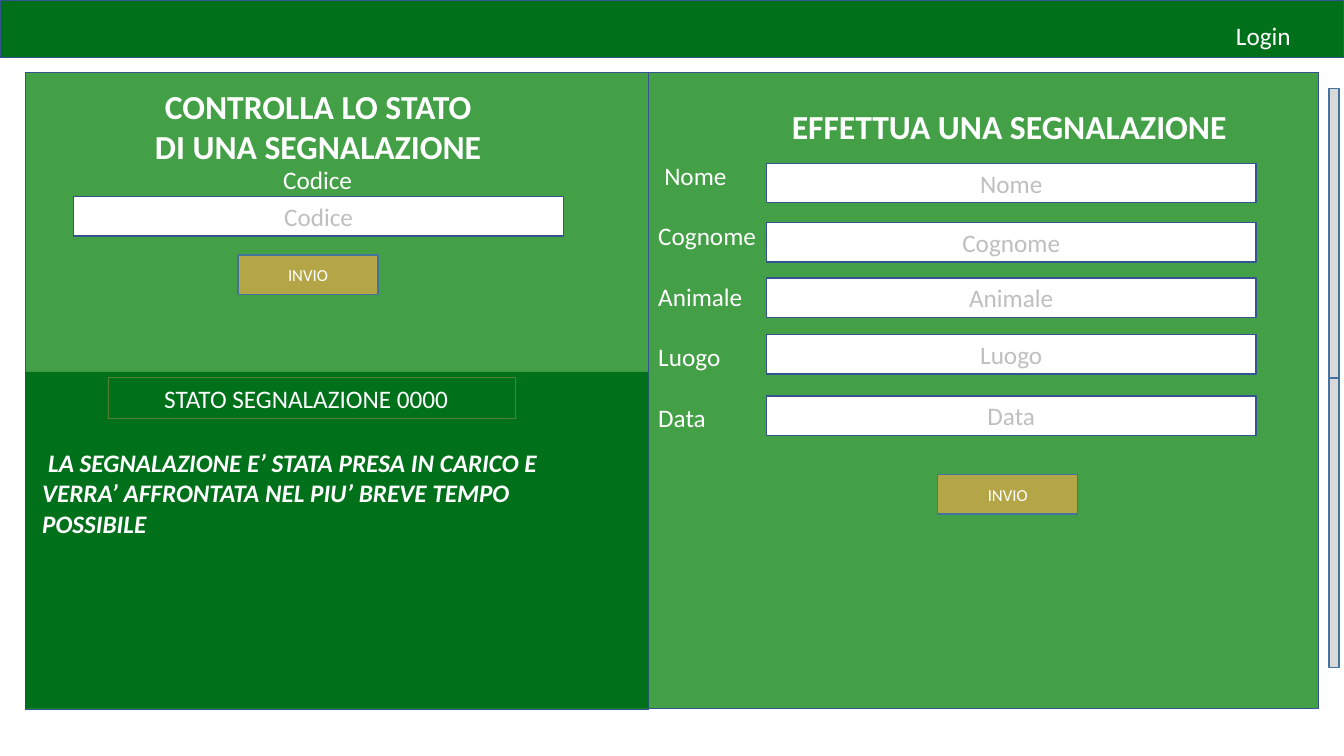
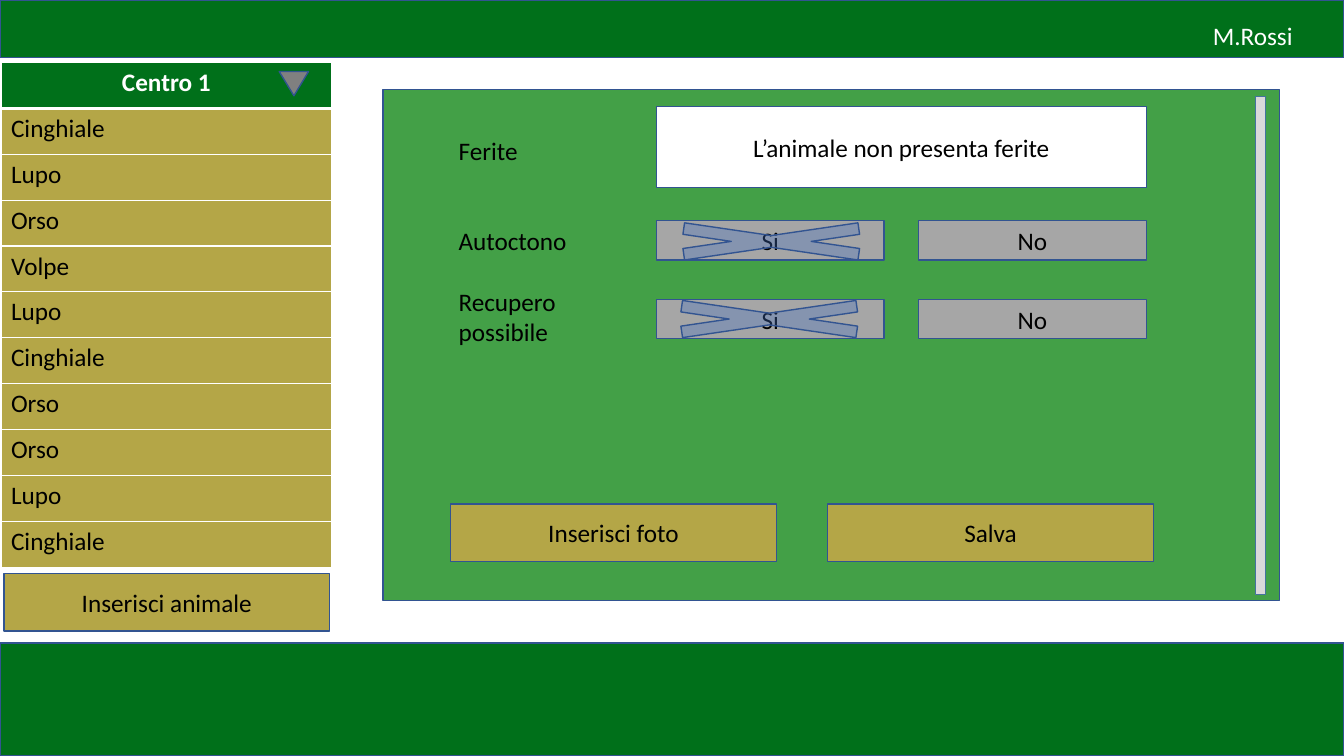
"""Build two screens of an animal report application."""
from dataclasses import dataclass
from typing import Optional

from lxml import etree
from pptx import Presentation
from pptx.dml.color import RGBColor
from pptx.enum.shapes import MSO_SHAPE
from pptx.enum.text import MSO_ANCHOR, MSO_AUTO_SIZE, PP_ALIGN
from pptx.oxml.ns import qn
from pptx.util import Inches, Pt

RECTANGLE = MSO_SHAPE.RECTANGLE
TRIANGLE = MSO_SHAPE.ISOSCELES_TRIANGLE
CROSS = MSO_SHAPE.MATH_MULTIPLY
TOP, MIDDLE = MSO_ANCHOR.TOP, MSO_ANCHOR.MIDDLE
LEFT, CENTER = PP_ALIGN.LEFT, PP_ALIGN.CENTER
NO_RESIZE = MSO_AUTO_SIZE.NONE
TITLE_ONLY, BLANK = 5, 6


@dataclass(frozen=True)
class Theme:
    """Colours, font and type sizes shared by the screens."""
    font: str = "Calibri"
    dark: str = "00701A"
    green: str = "43A047"
    gold: str = "B4A647"
    white: str = "FFFFFF"
    black: str = "000000"
    hint: str = "BFBFBF"
    track: str = "D9D9D9"
    option: str = "A6A6A6"
    arrow: str = "808080"
    cross: str = "4472C4"
    outline: str = "325491"
    thin_outline: str = "43739E"
    status_outline: str = "548235"
    title: float = 24
    body: float = 18
    small: float = 12
    line_height: float = 21.6


THEME = Theme()


@dataclass(frozen=True)
class Style:
    """Fill, outline and centred text of a shape."""
    fill: Optional[str]
    line: Optional[str] = THEME.outline
    color: str = THEME.black
    size: float = THEME.body
    line_width: float = 1


BAND = Style(THEME.dark)
STATUS_PANEL = Style(THEME.dark, None)
PANEL = Style(THEME.green)
FIELD = Style(THEME.white, color=THEME.hint)
NOTE = Style(THEME.white)
SEND = Style(THEME.gold, THEME.thin_outline, THEME.white, THEME.small)
ACTION = Style(THEME.gold)
OPTION = Style(THEME.option)
TRACK = Style(THEME.track, THEME.thin_outline)
ARROW = Style(THEME.arrow)
MARK = Style(THEME.cross)
STATUS = Style(None, THEME.status_outline, line_width=0.75)


@dataclass(frozen=True)
class Area:
    """Place and size in inches."""
    left: float
    top: float
    width: float
    height: float

    def lengths(self) -> tuple:
        """Return the four values as lengths."""
        return tuple(Inches(v) for v in (self.left, self.top, self.width, self.height))


@dataclass(frozen=True)
class Line:
    """One paragraph with its gap above and its indents in inches."""
    text: str
    gap: float = 0
    margin: float = 0
    indent: float = 0


def set_font(paragraph, color: str, size: float = THEME.body, bold: bool = False,
             italic: bool = False) -> None:
    """Set the font of a whole paragraph."""
    font = paragraph.font
    font.name, font.size, font.bold, font.italic = THEME.font, Pt(size), bold, italic
    font.color.rgb = RGBColor.from_string(color)


def write(frame, lines: list, color: str, size: float = THEME.body, bold: bool = False,
          italic: bool = False, align=LEFT, anchor=TOP) -> None:
    """Fill a text frame with paragraphs of one font."""
    frame.word_wrap, frame.vertical_anchor = True, anchor
    for index, line in enumerate(lines):
        paragraph = frame.paragraphs[0] if index == 0 else frame.add_paragraph()
        paragraph.text, paragraph.alignment = line.text, align
        paragraph.space_before = Pt(line.gap)
        properties = paragraph.element.get_or_add_pPr() if hasattr(paragraph, "element") \
            else paragraph._p.get_or_add_pPr()
        properties.set("marL", str(Inches(line.margin)))
        properties.set("indent", str(Inches(line.indent)))
        set_font(paragraph, color, size, bold, italic)


def add_box(page, area: Area, style: Style, text: str = "", kind=RECTANGLE):
    """Draw a shape with optional centred text."""
    box = page.shapes.add_shape(kind, *area.lengths())
    box.shadow.inherit = False
    if style.fill:
        box.fill.solid()
        box.fill.fore_color.rgb = RGBColor.from_string(style.fill)
    else:
        box.fill.background()
    if style.line:
        box.line.color.rgb = RGBColor.from_string(style.line)
        box.line.width = Pt(style.line_width)
    else:
        box.line.fill.background()
    if text:
        write(box.text_frame, [Line(text)], style.color, style.size,
              align=CENTER, anchor=MIDDLE)
    return box


def add_text(page, area: Area, lines: list, color: str, **options) -> None:
    """Draw a text box."""
    box = page.shapes.add_textbox(*area.lengths())
    write(box.text_frame, lines, color, **options)


def add_header(page, user: str, left: float, width: float) -> None:
    """Draw the top band with the user text."""
    add_box(page, Area(0, 0, 13.33, 0.57), BAND)
    add_text(page, Area(left, 0.15, width, 0.4), [Line(user)], THEME.white)


def add_cross(page, area: Area) -> None:
    """Draw a see-through cross over an option."""
    cross = add_box(page, area, MARK, kind=CROSS)
    color = cross.element.spPr.find(qn("a:solidFill"))[0]
    etree.SubElement(color, qn("a:alpha"), val="33000")


def add_borders(cell, bottom: float) -> None:
    """Give a cell white borders."""
    properties = cell._tc.get_or_add_tcPr()
    for side, width in (("L", 1), ("R", 1), ("T", 1), ("B", bottom)):
        border = etree.SubElement(properties, qn(f"a:ln{side}"), w=str(Pt(width)))
        fill = etree.SubElement(border, qn("a:solidFill"))
        etree.SubElement(fill, qn("a:srgbClr"), val=THEME.white)


def add_list(page, area: Area, names: list) -> None:
    """Draw a one-column table whose first name is the heading."""
    table = page.shapes.add_table(len(names), 1, *area.lengths()).table
    for index, name in enumerate(names):
        heading = index == 0
        table.rows[index].height = Inches(area.height / len(names))
        cell = table.cell(index, 0)
        add_borders(cell, 3 if heading else 1)
        cell.fill.solid()
        cell.fill.fore_color.rgb = RGBColor.from_string(THEME.dark if heading else THEME.gold)
        write(cell.text_frame, [Line(name)], THEME.white if heading else THEME.black,
              bold=heading, align=CENTER if heading else LEFT)


def build_report_page(deck) -> None:
    """Build the screen for checking and sending a report."""
    page = deck.slides.add_slide(deck.slide_layouts[TITLE_ONLY])
    add_box(page, Area(6.4, 0.72, 6.68, 6.31), PANEL)
    add_header(page, "Login", 12.16, 0.82)
    for row in range(2):
        add_box(page, Area(13.18, 0.88 + row * 2.87, 0.1, 2.87), TRACK)

    fields = {"Nome": 1.62, "Cognome": 2.21, "Animale": 2.76, "Luogo": 3.32, "Data": 3.93}
    for name, top in fields.items():
        add_box(page, Area(7.6, top, 4.86, 0.39), FIELD, name)
    labels = [Line(name, THEME.line_height if row else 0, 0 if row else 0.06)
              for row, name in enumerate(fields)]
    add_text(page, Area(6.43, 1.54, 3.32, 2.83), labels, THEME.white)
    add_text(page, Area(6.69, 1, 6.64, 0.5), [Line("EFFETTUA UNA SEGNALAZIONE")],
             THEME.white, size=THEME.title, bold=True, align=CENTER)
    add_box(page, Area(9.3, 4.71, 1.39, 0.39), SEND, "INVIO")

    add_box(page, Area(0.25, 0.72, 6.18, 6.32), PANEL)
    title = page.shapes.title
    title.left, title.top, title.width, title.height = Area(0.25, 0.8, 5.81, 0.91).lengths()
    title.text_frame.auto_size = NO_RESIZE
    write(title.text_frame, [Line("CONTROLLA LO STATO"), Line("DI UNA SEGNALAZIONE")],
          THEME.white, size=THEME.title, bold=True, align=CENTER)
    title.element.getparent().append(title.element)
    add_box(page, Area(0.73, 1.95, 4.86, 0.39), FIELD, "Codice")
    add_box(page, Area(2.36, 2.53, 1.39, 0.39), SEND, "INVIO")
    add_box(page, Area(0.25, 3.69, 6.18, 3.34), STATUS_PANEL)
    status = add_box(page, Area(1.08, 3.75, 4.03, 0.4), STATUS)
    write(status.text_frame, [Line("STATO SEGNALAZIONE 0000", margin=0.45)], THEME.white)
    message = ("LA SEGNALAZIONE E’ STATA PRESA IN CARICO E "
               "VERRA’ AFFRONTATA NEL PIU’ BREVE TEMPO POSSIBILE")
    add_text(page, Area(0.32, 4.39, 5.77, 1.01), [Line(message, indent=0.06)],
             THEME.white, bold=True, italic=True)
    add_text(page, Area(2.71, 1.58, 3, 0.4), [Line("Codice")], THEME.white)


def build_animal_page(deck) -> None:
    """Build the screen with the animals of a centre."""
    page = deck.slides.add_slide(deck.slide_layouts[BLANK])
    add_header(page, "M.Rossi", 11.93, 1.05)
    add_list(page, Area(0.01, 0.62, 3.28, 5.01),
             ["Centro 1", "Cinghiale", "Lupo", "Orso", "Volpe", "Lupo",
              "Cinghiale", "Orso", "Orso", "Lupo", "Cinghiale"])
    add_box(page, Area(0, 6.38, 13.33, 1.12), BAND)
    arrow = add_box(page, Area(2.77, 0.71, 0.29, 0.24), ARROW, kind=TRIANGLE)
    arrow.rotation = 180

    add_box(page, Area(3.8, 0.89, 8.89, 5.07), PANEL)
    for name, left, top in (("Inserisci animale", 0.04, 5.69),
                            ("Inserisci foto", 4.47, 5), ("Salva", 8.21, 5)):
        add_box(page, Area(left, top, 3.23, 0.57), ACTION, name)
    add_text(page, Area(4.45, 1.29, 1.71, 2.52),
             [Line("Ferite"), Line("Autoctono", 2 * THEME.line_height),
              Line("Recupero possibile", THEME.line_height)], THEME.black)
    add_box(page, Area(6.51, 1.06, 4.86, 0.8), NOTE, "L’animale non presenta ferite")
    add_box(page, Area(12.45, 0.96, 0.1, 4.94), TRACK)
    for top, cross_left, cross_top in ((2.19, 5.98, 2.15), (2.97, 5.96, 2.92)):
        for name, left in (("Si", 6.51), ("No", 9.11)):
            add_box(page, Area(left, top, 2.26, 0.39), OPTION, name)
        add_cross(page, Area(cross_left, cross_top, 3.34, 0.49))


def main() -> None:
    """Build and save the deck."""
    deck = Presentation()
    deck.slide_width, deck.slide_height = Inches(13.33), Inches(7.5)
    build_report_page(deck)
    build_animal_page(deck)
    deck.save("out.pptx")


if __name__ == "__main__":
    main()
